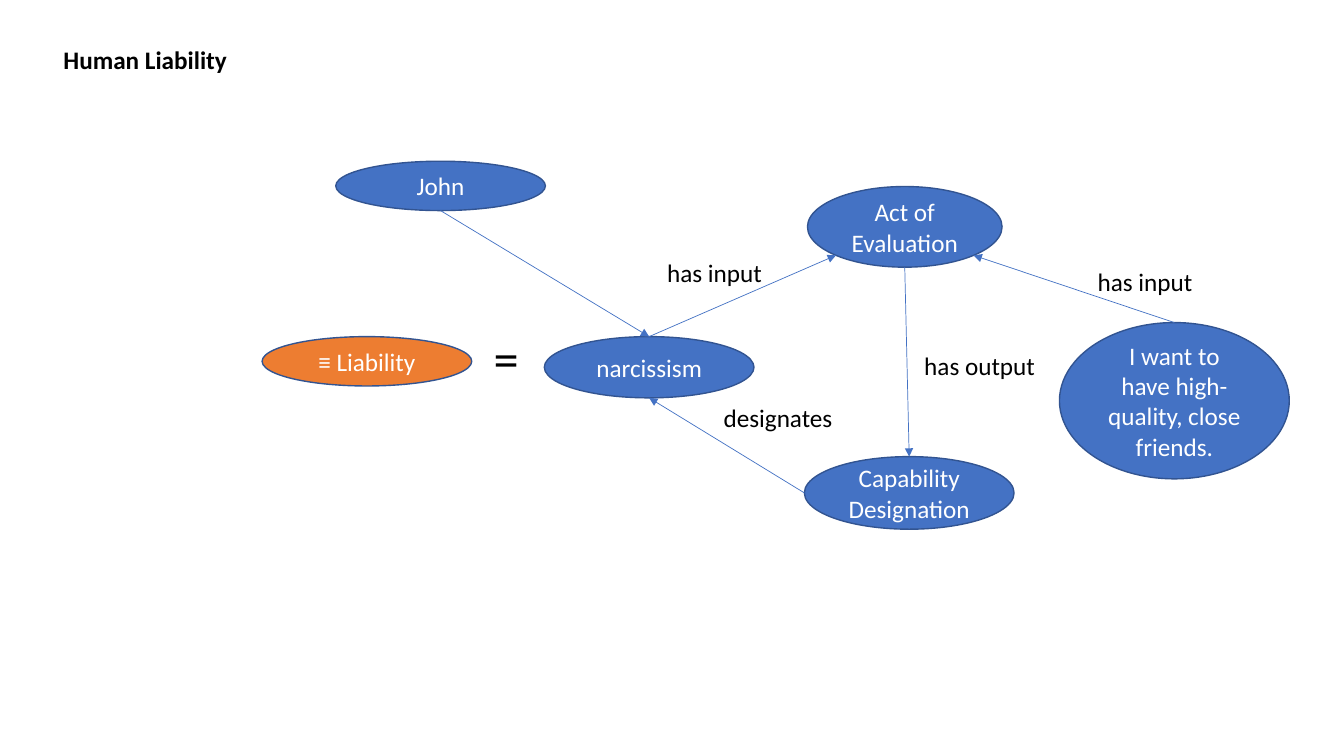
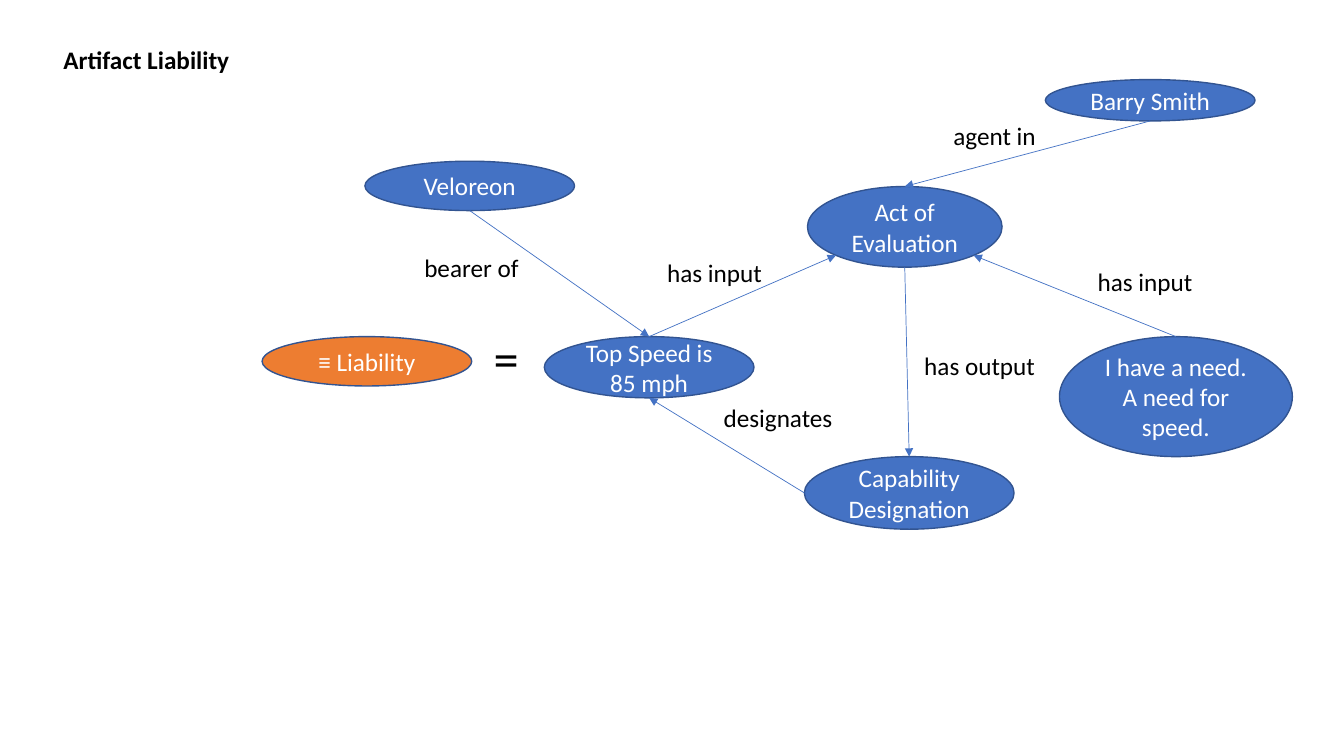
import math
from dataclasses import dataclass

import lxml.etree
import pptx
import pptx.dml.color
import pptx.enum.shapes
import pptx.enum.text
import pptx.oxml.ns
import pptx.presentation
import pptx.shapes.autoshape
import pptx.shapes.connector
import pptx.slide
import pptx.text.text
import pptx.util

WIDTH = pptx.util.Inches(13.333)
HEIGHT = pptx.util.Inches(7.5)
FONT = "Calibri"
COLORS = {
    "entity": "4472C4",
    "liability": "ED7D31",
    "outline": "325491",
    "relation": "4472C4",
    "light": "FFFFFF",
    "dark": "000000",
}
TOP, LEFT, LOWER_LEFT, BOTTOM, LOWER_RIGHT = 0, 2, 3, 4, 5
NODE_WIDTH = 15.6
NODE_HEIGHT = 6.53
LABEL_HEIGHT = 5.33
MIDDLE_ROW = 44.53


@dataclass(frozen=True)
class Box:
    """Position and size in percent of the slide."""
    left: float
    top: float
    width: float = NODE_WIDTH
    height: float = NODE_HEIGHT

    def emu(self) -> tuple[int, int, int, int]:
        return (across(self.left), down(self.top),
                across(self.width), down(self.height))


@dataclass(frozen=True)
class Node:
    key: str
    text: str
    box: Box
    color: str = "entity"


@dataclass(frozen=True)
class Relation:
    source: str
    source_site: int
    target: str
    target_site: int


@dataclass(frozen=True)
class Label:
    text: str
    box: Box
    size: int = 18
    bold: bool = False
    wrap: bool = False


@dataclass(frozen=True)
class Diagram:
    title: Label
    nodes: list[Node]
    relations: list[Relation]
    labels: list[Label]


SHARED_NODES = [
    Node("act", "Act of Evaluation", Box(60.08, 24.67, 14.48, 10.67)),
    Node("liability", "≡ Liability", Box(19.5, MIDDLE_ROW), "liability"),
    Node("designation", "Capability Designation", Box(59.85, 60.4, height=9.6)),
]
SHARED_RELATIONS = [
    Relation("trait", TOP, "act", LOWER_LEFT),
    Relation("goal", TOP, "act", LOWER_RIGHT),
    Relation("act", BOTTOM, "designation", TOP),
    Relation("designation", LEFT, "trait", BOTTOM),
    Relation("bearer", BOTTOM, "trait", TOP),
]
SHARED_LABELS = [
    Label("has input", Box(48.9, 33.33, 8.63, LABEL_HEIGHT)),
    Label("has input", Box(80.93, 34.53, 8.63, LABEL_HEIGHT)),
    Label("has output", Box(68.03, 45.73, 9.83, LABEL_HEIGHT)),
    Label("designates", Box(53.1, 52.53, 9.68, LABEL_HEIGHT)),
    Label("=", Box(36, 42.67, 4.43, 9.47), size=36, wrap=True),
]


def title_label(text: str) -> Label:
    return Label(text, Box(3.98, 5.2, 13.9, LABEL_HEIGHT), bold=True)


def trait_node(text: str) -> Node:
    return Node("trait", text, Box(40.5, MIDDLE_ROW, height=8.1))


DIAGRAMS = [
    Diagram(
        title_label("Human Liability"),
        [
            trait_node("narcissism"),
            Node("goal", "I want to have high-quality, close friends.",
                 Box(78.83, 42.67, 17.1, 20.67)),
            Node("bearer", "John", Box(24.98, 21.33)),
        ],
        [],
        [],
    ),
    Diagram(
        title_label("Artifact Liability"),
        [
            trait_node("Top Speed is 85 mph"),
            Node("goal", "I have a need. A need for speed.",
                 Box(78.83, MIDDLE_ROW, 17.33, 15.87)),
            Node("bearer", "Veloreon", Box(27.15, 21.33)),
            Node("agent", "Barry Smith", Box(77.78, 10.53, height=5.47)),
        ],
        [Relation("agent", BOTTOM, "act", TOP)],
        [
            Label("agent in", Box(70.2, 15.2, 7.73, LABEL_HEIGHT)),
            Label("bearer of", Box(30.83, 32.67, 8.63, LABEL_HEIGHT)),
        ],
    ),
]


def across(percent: float) -> int:
    return round(WIDTH * percent / 100)


def down(percent: float) -> int:
    return round(HEIGHT * percent / 100)


def rgb(color: str) -> pptx.dml.color.RGBColor:
    return pptx.dml.color.RGBColor.from_string(COLORS[color])


def apply(target: object, formats: dict[str, object]) -> None:
    for attribute, value in formats.items():
        setattr(target, attribute, value)


def write(frame: pptx.text.text.TextFrame, text: str, color: str,
          size: int = 18, bold: bool = False) -> None:
    run = frame.paragraphs[0].add_run()
    run.text = text
    apply(run.font, {"name": FONT, "size": pptx.util.Pt(size), "bold": bold})
    run.font.color.rgb = rgb(color)


def draw_node(slide: pptx.slide.Slide, node: Node) -> pptx.shapes.autoshape.Shape:
    ellipse = slide.shapes.add_shape(
        pptx.enum.shapes.MSO_SHAPE.OVAL, *node.box.emu())
    ellipse.shadow.inherit = False
    ellipse.fill.solid()
    ellipse.fill.fore_color.rgb = rgb(node.color)
    ellipse.line.color.rgb = rgb("outline")
    ellipse.line.width = pptx.util.Pt(1)
    frame = ellipse.text_frame
    apply(frame, {"word_wrap": True,
                  "vertical_anchor": pptx.enum.text.MSO_ANCHOR.MIDDLE})
    frame.paragraphs[0].alignment = pptx.enum.text.PP_ALIGN.CENTER
    write(frame, node.text, "light")
    return ellipse


def site_point(ellipse: pptx.shapes.autoshape.Shape, site: int) -> tuple[int, int]:
    angle = site * math.pi / 4
    return (round(ellipse.left + ellipse.width * (1 - math.sin(angle)) / 2),
            round(ellipse.top + ellipse.height * (1 - math.cos(angle)) / 2))


def draw_relation(slide: pptx.slide.Slide, relation: Relation,
                  ellipses: dict[str, pptx.shapes.autoshape.Shape]) -> None:
    qn = pptx.oxml.ns.qn
    ends = {
        "a:stCxn": (ellipses[relation.source], relation.source_site),
        "a:endCxn": (ellipses[relation.target], relation.target_site),
    }
    points = [site_point(ellipse, site) for ellipse, site in ends.values()]
    arrow = slide.shapes.add_connector(
        pptx.enum.shapes.MSO_CONNECTOR.STRAIGHT, *points[0], *points[1])
    arrow.line.color.rgb = rgb("relation")
    arrow.line.width = pptx.util.Pt(0.5)
    properties = arrow.element.spPr
    lxml.etree.SubElement(properties.find(qn("a:ln")), qn("a:tailEnd"),
                          type="triangle")
    lxml.etree.SubElement(properties, qn("a:effectLst"))
    glue = arrow.element.find(".//" + qn("p:cNvCxnSpPr"))
    for tag, (ellipse, site) in ends.items():
        lxml.etree.SubElement(glue, qn(tag), id=str(ellipse.shape_id),
                              idx=str(site))


def draw_label(slide: pptx.slide.Slide, label: Label) -> None:
    frame = slide.shapes.add_textbox(*label.box.emu()).text_frame
    apply(frame, {"word_wrap": label.wrap,
                  "auto_size": pptx.enum.text.MSO_AUTO_SIZE.SHAPE_TO_FIT_TEXT})
    write(frame, label.text, "dark", label.size, label.bold)


def draw_diagram(deck: pptx.presentation.Presentation, diagram: Diagram) -> None:
    slide = deck.slides.add_slide(deck.slide_layouts[6])
    draw_label(slide, diagram.title)
    ellipses = {node.key: draw_node(slide, node)
                for node in SHARED_NODES + diagram.nodes}
    for relation in SHARED_RELATIONS + diagram.relations:
        draw_relation(slide, relation, ellipses)
    for label in SHARED_LABELS + diagram.labels:
        draw_label(slide, label)


def main() -> None:
    deck = pptx.Presentation()
    apply(deck, {"slide_width": WIDTH, "slide_height": HEIGHT})
    for diagram in DIAGRAMS:
        draw_diagram(deck, diagram)
    deck.save("out.pptx")


if __name__ == "__main__":
    main()
